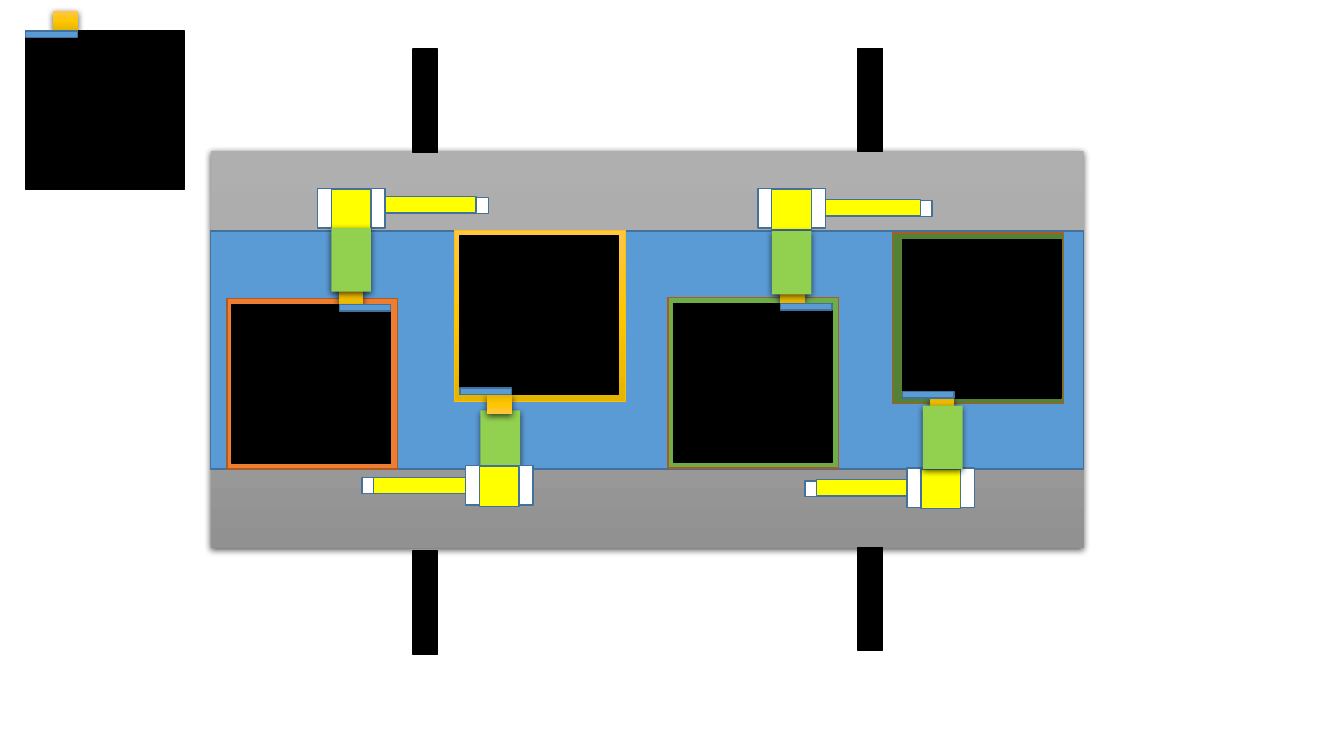
"""Draw a top view of a sorting machine with four boxes, their lids and motors."""
from copy import deepcopy
from dataclasses import dataclass
from typing import Any, Optional

from lxml import etree
from pptx import Presentation
from pptx.dml.color import RGBColor
from pptx.enum.shapes import MSO_SHAPE
from pptx.oxml.ns import qn
from pptx.util import Cm, Pt

RECT = MSO_SHAPE.RECTANGLE
COLORS = {
    "black": "000000", "white": "FFFFFF", "yellow": "FFFF00", "lime": "92D050",
    "blue": "5B9BD5", "blue_edge": "42719B", "orange": "ED7D31", "rust": "AC5B23",
    "green": "70AD47", "dark_green": "548135", "gold": "FFC000",
    "gold_light": "FFC647", "gold_mid": "FFC600", "gold_dark": "E3B400",
    "gray_light": "AFAFAF", "gray_mid": "A5A5A5", "gray_dark": "919191",
}
GOLD_FADE = ("gold_light", "gold_mid", "gold_dark")
GRAY_FADE = ("gray_light", "gray_mid", "gray_dark")
SHADOW = {"blurRad": Pt(4.5), "dist": Pt(1.5), "dir": 5400000, "algn": "ctr", "rotWithShape": 0}
SHADOW_ALPHA = 63000


@dataclass(frozen=True)
class Style:
    """Fill colours, outline and shadow of a part."""
    fill: tuple[str, ...]
    edge: Optional[str] = None
    edge_width: float = 1
    shadow: bool = False


@dataclass(frozen=True)
class Layer:
    """Equal parts at several places, in centimetres."""
    style: Style
    width: float
    height: float
    places: tuple[tuple[float, float], ...]
    rotation: float = 0


@dataclass(frozen=True)
class Box:
    """A box with its lid tab; mirrored sideways or turned upside down."""
    left: float
    top: float
    mirrored: bool = True
    turned: bool = False


PLATE = Style(GRAY_FADE, shadow=True)
BELT = Style(("blue",), "blue_edge")
BLACK = Style(("black",), "black")
WHITE = Style(("white",), "blue_edge")
YELLOW = Style(("yellow",), "blue_edge")
ARM = Style(("lime",), shadow=True)
TAB = Style(GOLD_FADE, shadow=True)

BAY, BOX, MOTOR, CORE = 4.3, 4.0, 1.7, 1.0
ARM_SIZE = (1.6, 1.0)
TAB_WIDTH, TAB_HEIGHT, TAB_INSET = 0.62, 0.5, 0.69
LID_WIDTH, LID_HEIGHT = 1.3, 0.16

BASE_LAYERS = (
    Layer(PLATE, 22, 10, ((5.31, 3.81),)),
    Layer(BELT, 22, 6, ((5.31, 5.82),)),
    Layer(Style(("orange",), "rust"), BAY, BAY, ((5.72, 7.52),)),
    Layer(Style(GOLD_FADE, "gold", 0.75), BAY, BAY, ((11.46, 5.82),)),
    Layer(Style(("dark_green",), "rust"), BAY, BAY, ((22.5, 5.87),)),
    Layer(Style(("green",), "rust"), BAY, BAY, ((16.84, 7.49),)),
    Layer(BLACK, 0.62, 2.6, ((10.41, 1.24), (21.62, 13.79), (10.41, 13.89), (21.62, 1.22))),
    Layer(ARM, *ARM_SIZE, ((11.81, 10.64),), 270),
    Layer(WHITE, 3.2, 0.4, ((20.29, 5.05), (20.29, 12.12), (9.12, 4.98), (9.12, 12.04))),
    Layer(YELLOW, 2.6, 0.4, ((9.4, 4.95), (9.42, 12.04), (20.6, 5.03), (20.57, 12.09))),
)
MOTORS = ((8, 4.75), (11.73, 11.73), (19.1, 4.75), (22.86, 11.79))
BOXES = (
    Box(0.65, 0.78, mirrored=False),
    Box(5.85, 7.68),
    Box(16.97, 7.65),
    Box(22.74, 6.03, turned=True),
    Box(11.59, 5.94, turned=True),
)
FRONT_ARMS = Layer(ARM, *ARM_SIZE, ((8.05, 6.05), (19.15, 6.12), (22.96, 10.52)), 270)


def rgb(name: str) -> RGBColor:
    """Look up a named colour."""
    return RGBColor.from_string(COLORS[name])


def paint(fill: Any, names: tuple[str, ...]) -> None:
    """Fill with one colour or with a downward gradient of evenly spaced colours."""
    if len(names) == 1:
        fill.solid()
        fill.fore_color.rgb = rgb(names[0])
        return
    fill.gradient()
    fill.gradient_angle = 270
    first = fill.gradient_stops[0]._gs
    for _ in names[2:]:
        first.addnext(deepcopy(first))
    for index, (stop, name) in enumerate(zip(fill.gradient_stops, names)):
        stop.color.rgb = rgb(name)
        stop.position = index / (len(names) - 1)


def cast_shadow(part: Any) -> None:
    """Add a soft black shadow below a part."""
    effects = part.element.spPr.find(qn("a:effectLst"))
    shadow = etree.SubElement(effects, qn("a:outerShdw"), {k: str(v) for k, v in SHADOW.items()})
    color = etree.SubElement(shadow, qn("a:srgbClr"), val=COLORS["black"])
    etree.SubElement(color, qn("a:alpha"), val=str(SHADOW_ALPHA))


def draw_part(shapes: Any, style: Style, left: float, top: float, width: float,
              height: float, rotation: float = 0, mirrored: bool = False) -> None:
    """Draw one rectangular part."""
    part = shapes.add_shape(RECT, Cm(left), Cm(top), Cm(width), Cm(height))
    part.rotation = rotation
    part.shadow.inherit = False
    if mirrored:
        part.element.spPr.xfrm.set("flipH", "1")
    paint(part.fill, style.fill)
    if style.edge:
        part.line.color.rgb = rgb(style.edge)
        part.line.width = Pt(style.edge_width)
    else:
        part.line.fill.background()
    if style.shadow:
        cast_shadow(part)


def draw_layer(shapes: Any, layer: Layer) -> None:
    """Draw every part of a layer."""
    for left, top in layer.places:
        draw_part(shapes, layer.style, left, top, layer.width, layer.height, layer.rotation)


def draw_motor(shapes: Any, left: float, top: float) -> None:
    """Draw a motor housing with its core."""
    motor = shapes.add_group_shape().shapes
    draw_part(motor, WHITE, left, top, MOTOR, CORE)
    draw_part(motor, YELLOW, left + (MOTOR - CORE) / 2, top + 0.03, CORE, CORE)


def draw_box(shapes: Any, box: Box) -> None:
    """Draw a box, its tab outside the rim and its lid hinge inside."""
    group = shapes.add_group_shape().shapes
    parts = (
        (BLACK, 0, 0, BOX, BOX),
        (TAB, TAB_INSET, -TAB_HEIGHT, TAB_WIDTH, TAB_HEIGHT),
        (BELT, 0, 0, LID_WIDTH, LID_HEIGHT),
    )
    for style, x, y, width, height in parts:
        if box.mirrored and not box.turned:
            x = BOX - x - width
        if box.turned:
            y = BOX - y - height
        draw_part(group, style, box.left + x, box.top + y, width, height,
                  180 if box.turned else 0, box.mirrored)


def main() -> None:
    """Build the slide and save it."""
    deck = Presentation()
    for side, length in {"slide_width": Cm(33.87), "slide_height": Cm(19.05)}.items():
        setattr(deck, side, length)
    shapes = deck.slides.add_slide(deck.slide_layouts[6]).shapes
    for layer in BASE_LAYERS:
        draw_layer(shapes, layer)
    for left, top in MOTORS:
        draw_motor(shapes, left, top)
    for box in BOXES:
        draw_box(shapes, box)
    draw_layer(shapes, FRONT_ARMS)
    deck.save("out.pptx")


if __name__ == "__main__":
    main()
